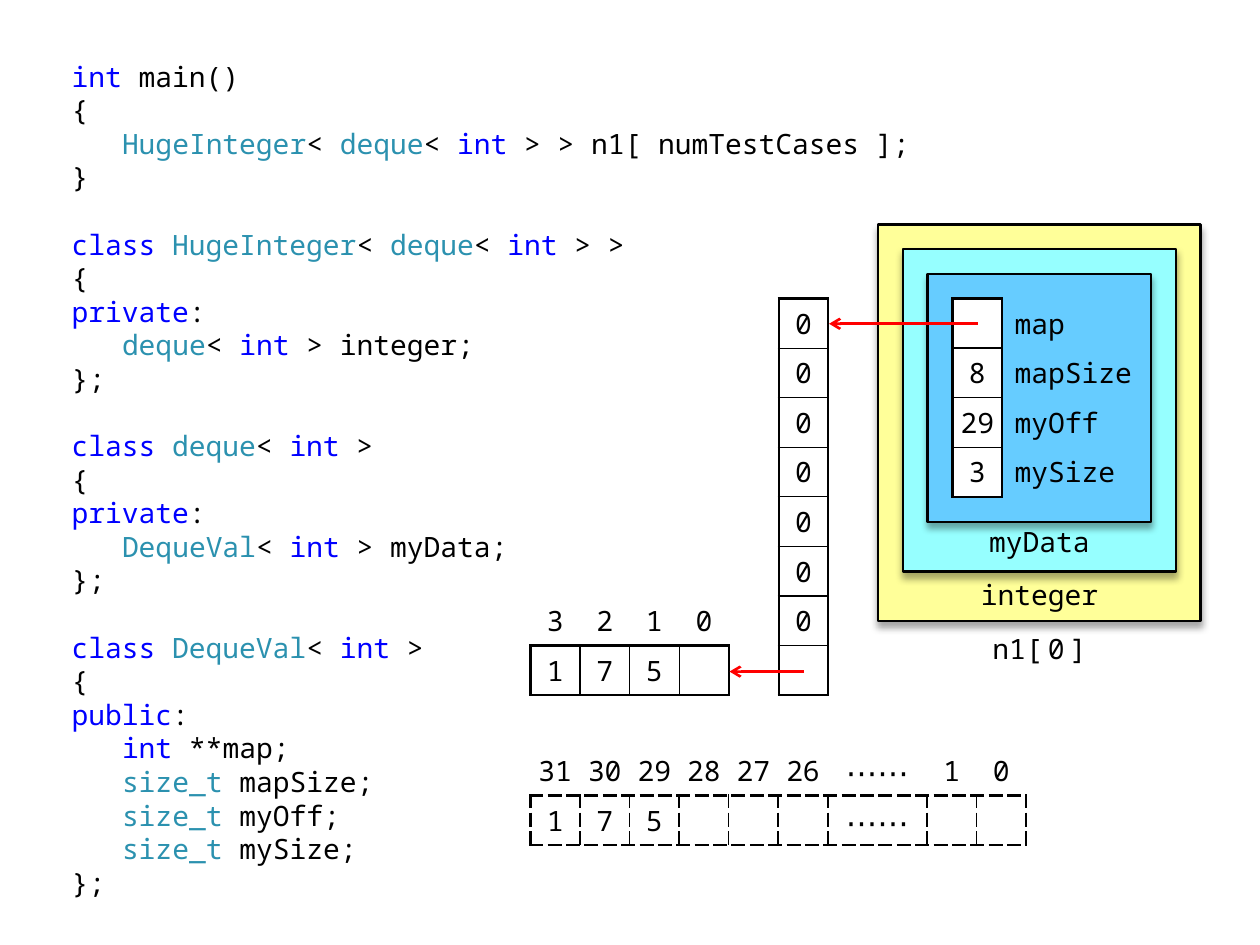
from lxml import etree
from pptx import Presentation
from pptx.dml.color import RGBColor
from pptx.enum.shapes import MSO_CONNECTOR, MSO_SHAPE
from pptx.enum.text import MSO_ANCHOR, PP_ALIGN
from pptx.oxml import parse_xml
from pptx.oxml.ns import qn
from pptx.util import Inches, Pt

BLACK = RGBColor(0, 0, 0)
WHITE = RGBColor(255, 255, 255)
RED = RGBColor(255, 0, 0)
BLUE = RGBColor(0, 0, 255)
TEAL = RGBColor(0x2B, 0x91, 0xAF)
YELLOW = RGBColor(0xFF, 0xFF, 0x99)
CYAN = RGBColor(0x96, 0xFF, 0xFF)
SKY = RGBColor(0x66, 0xCC, 0xFF)
PROCESS = MSO_SHAPE.FLOWCHART_PROCESS
STRAIGHT = MSO_CONNECTOR.STRAIGHT
CENTER, LEFT = PP_ALIGN.CENTER, PP_ALIGN.LEFT
TOP, MIDDLE, BOTTOM = MSO_ANCHOR.TOP, MSO_ANCHOR.MIDDLE, MSO_ANCHOR.BOTTOM
FONT = "Noto Sans Mono"
NS = 'xmlns:a="http://schemas.openxmlformats.org/drawingml/2006/main"'
PLAIN = "{2D5ABB26-0587-4C30-8999-92F81FD0307C}"  # table style without grid
UNIT = 1 / 2.54  # side of one memory cell: 1 cm


def style(item, color=BLACK, size=16):
    """Set the code font on a paragraph or a run."""
    item.font.name = FONT
    item.font.size = Pt(size)
    item.font.color.rgb = color


def grid(left, top, widths, rows, head=0, boxed=None, inner=0.75, dash="solid"):
    """Draw a table; cells below the head and in the boxed columns get borders."""
    boxed = boxed or len(widths)
    frame = slide.shapes.add_table(len(rows), len(widths), Inches(left), Inches(top),
                                   Inches(sum(widths)), Inches(UNIT * len(rows)))
    table = frame.table
    table.first_row = table.horz_banding = False
    table._tbl.tblPr[0].text = PLAIN
    for col, width in zip(table.columns, widths):
        col.width = Inches(width)
    for r, row in enumerate(rows):
        table.rows[r].height = Inches(UNIT)
        for c, text in enumerate(row):
            cell = table.cell(r, c)
            cell.vertical_anchor = MIDDLE
            cell.margin_top = cell.margin_bottom = Inches(0.04)
            cell.margin_left = cell.margin_right = Inches(0 if c < boxed else 0.1)
            cell.text = text
            para = cell.text_frame.paragraphs[0]
            para.alignment = CENTER if c < boxed else LEFT
            style(para, size=18 if "⋯" in text else 16)
            if r < head or c >= boxed:
                continue
            outer = {"L": c == 0, "R": c == boxed - 1,
                     "T": r == head, "B": r == len(rows) - 1}
            for side, edge in outer.items():
                cell._tc.get_or_add_tcPr().append(parse_xml(
                    f'<a:ln{side} {NS} w="{Pt(1.5 if edge else inner)}">'
                    f'<a:solidFill><a:srgbClr val="{BLACK}"/></a:solidFill>'
                    f'<a:prstDash val="{dash}"/></a:ln{side}>'))
            cell.fill.solid()
            cell.fill.fore_color.rgb = WHITE


prs = Presentation()
prs.slide_width, prs.slide_height = Inches(10), Inches(7.5)
slide = prs.slides.add_slide(prs.slide_layouts[6])

# Source code: "*" marks keywords, "#" marks types, ">" at the start indents
CODE = """*int| main()
{
>#HugeInteger|< |#deque|< |*int| > > n1[ numTestCases ];
}

*class |#HugeInteger|< |#deque|< |*int| > >
{
*private|:
>#deque|< |*int| > integer;
};

*class |#deque|< |*int| >
{
*private|:
>#DequeVal|< |*int| > myData;
};

*class |#DequeVal|< |*int| >
{
*public|:
>*int| **map;
>#size_t |mapSize;
>#size_t |myOff;
>#size_t |mySize;
};"""
INKS = {"*": BLUE, "#": TEAL}
PITCH = Pt(19.2)
code = slide.shapes.add_textbox(Inches(0.47), Inches(0.4), Inches(6.89), Inches(6.69))
body = code.text_frame
body.word_wrap = True
body.margin_top = Inches(0.07)
for b, block in enumerate(CODE.split("\n\n")):
    for n, line in enumerate(block.split("\n")):
        para = body.add_paragraph() if b or n else body.paragraphs[0]
        para.line_spacing = PITCH
        if b and n == 0:
            para.space_before = PITCH
        if line[0] == ">":
            para._p.get_or_add_pPr().set("marL", str(Inches(0.4)))
            line = line[1:]
        for part in line.split("|"):
            ink = BLACK if part.startswith(" *") else INKS.get(part[0], BLACK)
            run = para.add_run()
            run.text = part if ink == BLACK else part[1:]
            style(run, ink)

# Nested objects: integer holds myData, which holds the fields
for i, fill in enumerate((YELLOW, CYAN, SKY)):
    step = i * UNIT
    box = slide.shapes.add_shape(PROCESS, Inches(6.97 + step / 2), Inches(1.78 + step / 2),
                                 Inches(2.56 - step), Inches(3.15 - 1.5 * step))
    box.fill.solid()
    box.fill.fore_color.rgb = fill
    box.line.color.rgb = BLACK
    box.line.width = Pt(1.5)
    box._element.spPr.append(parse_xml(
        f'<a:effectLst {NS}><a:outerShdw blurRad="{Pt(4)}" dist="{Pt(3)}" dir="5400000" '
        f'rotWithShape="0"><a:srgbClr val="{BLACK}"><a:alpha val="35000"/></a:srgbClr>'
        '</a:outerShdw></a:effectLst>'))

# Object names
for parts, left, top, width, anchor, above, below in (
        (["integer"], 7.56, 4.54, 1.38, TOP, 0.04, 0),
        (["n1", "[0", "]"], 7.76, 4.93, 0.98, BOTTOM, 0.05, 0.04),
        (["myData"], 7.76, 4.14, 0.98, TOP, 0.02, 0)):
    name = slide.shapes.add_textbox(Inches(left), Inches(top), Inches(width), Inches(0.39))
    text = name.text_frame
    text.word_wrap = True
    text.vertical_anchor = anchor
    text.margin_left = text.margin_right = Inches(0.08)
    text.margin_top, text.margin_bottom = Inches(above), Inches(below)
    para = text.paragraphs[0]
    para.alignment = CENTER
    style(para)
    for part in parts:
        run = para.add_run()
        run.text = part
        if part == "[0":
            run._r.get_or_add_rPr().set("spc", "300")

# Fields, map, block and logical order of the digits
grid(7.56, 2.37, [UNIT, 3 * UNIT],
     [["", "map"], ["8", "mapSize"], ["29", "myOff"], ["3", "mySize"]], boxed=1, inner=1)
grid(6.18, 2.37, [UNIT], [["0"]] * 7 + [[""]])
grid(4.21, 4.73, [UNIT] * 4, [["3", "2", "1", "0"], ["1", "7", "5", ""]], head=1)
grid(4.21, 5.92, [UNIT] * 6 + [2 * UNIT] + [UNIT] * 2,
     [["31", "30", "29", "28", "27", "26", "⋯⋯", "1", "0"],
      ["1", "7", "5", "", "", "", "⋯⋯", "", ""]], head=1, inner=1, dash="sysDash")

# Pointers
for start, end, y in ((7.76, 6.58, 2.57), (6.38, 5.79, 5.33)):
    arrow = slide.shapes.add_connector(STRAIGHT, Inches(start), Inches(y), Inches(end), Inches(y))
    arrow.line.color.rgb = RED
    arrow.line.width = Pt(1.5)
    etree.SubElement(arrow.line._get_or_add_ln(), qn("a:tailEnd"), type="arrow")
    etree.SubElement(arrow._element.spPr, qn("a:effectLst"))

prs.save("out.pptx")
